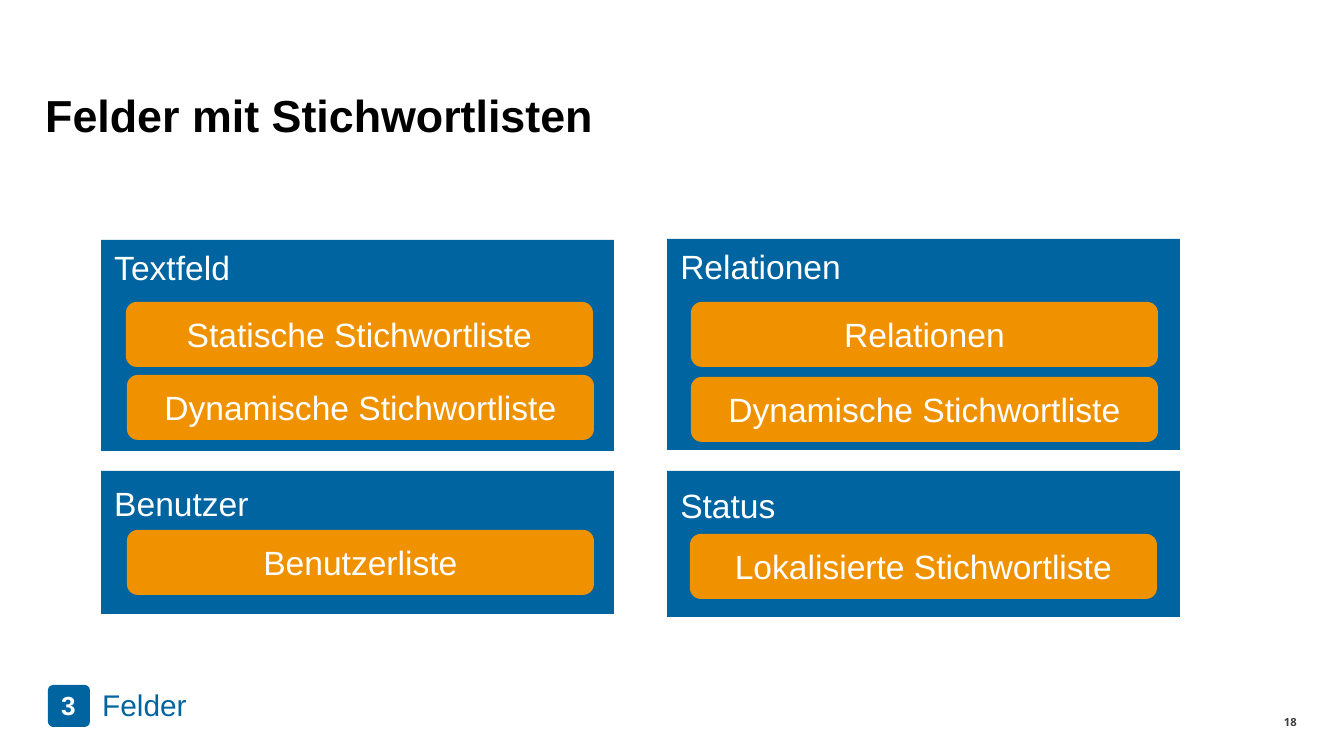
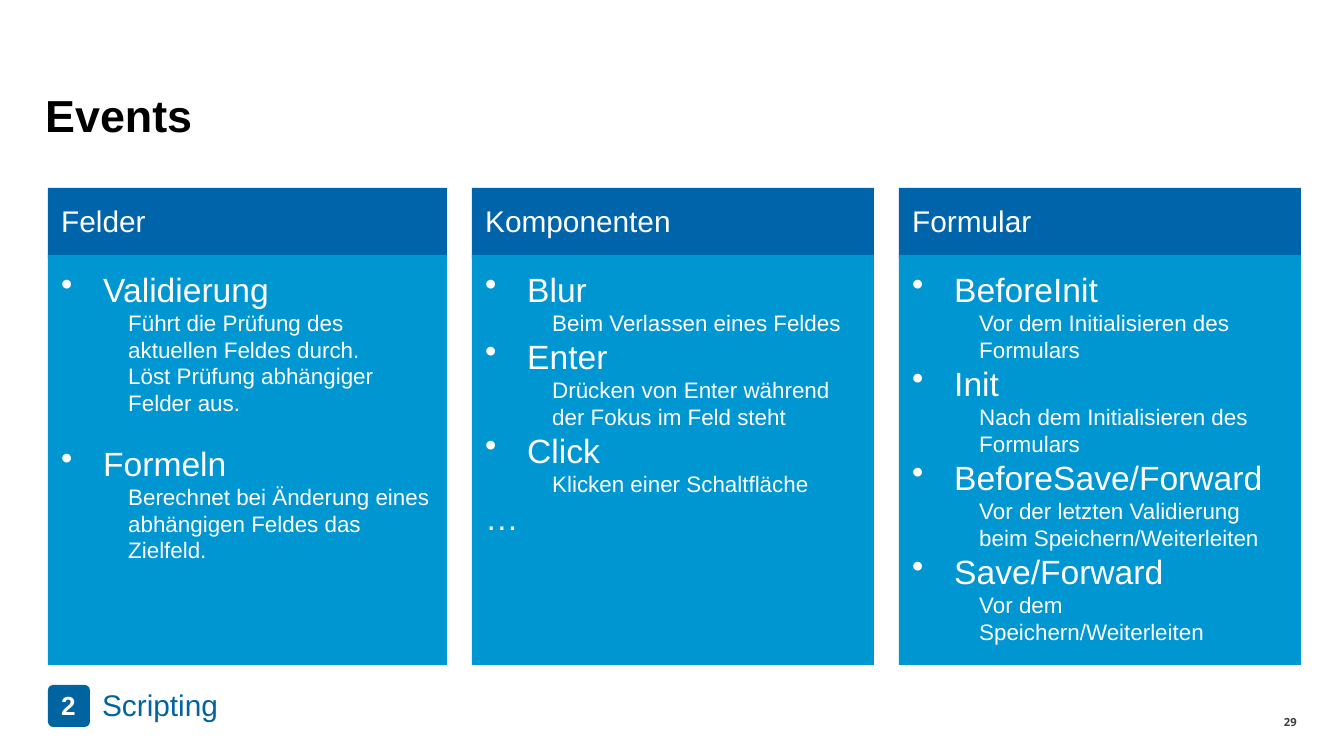
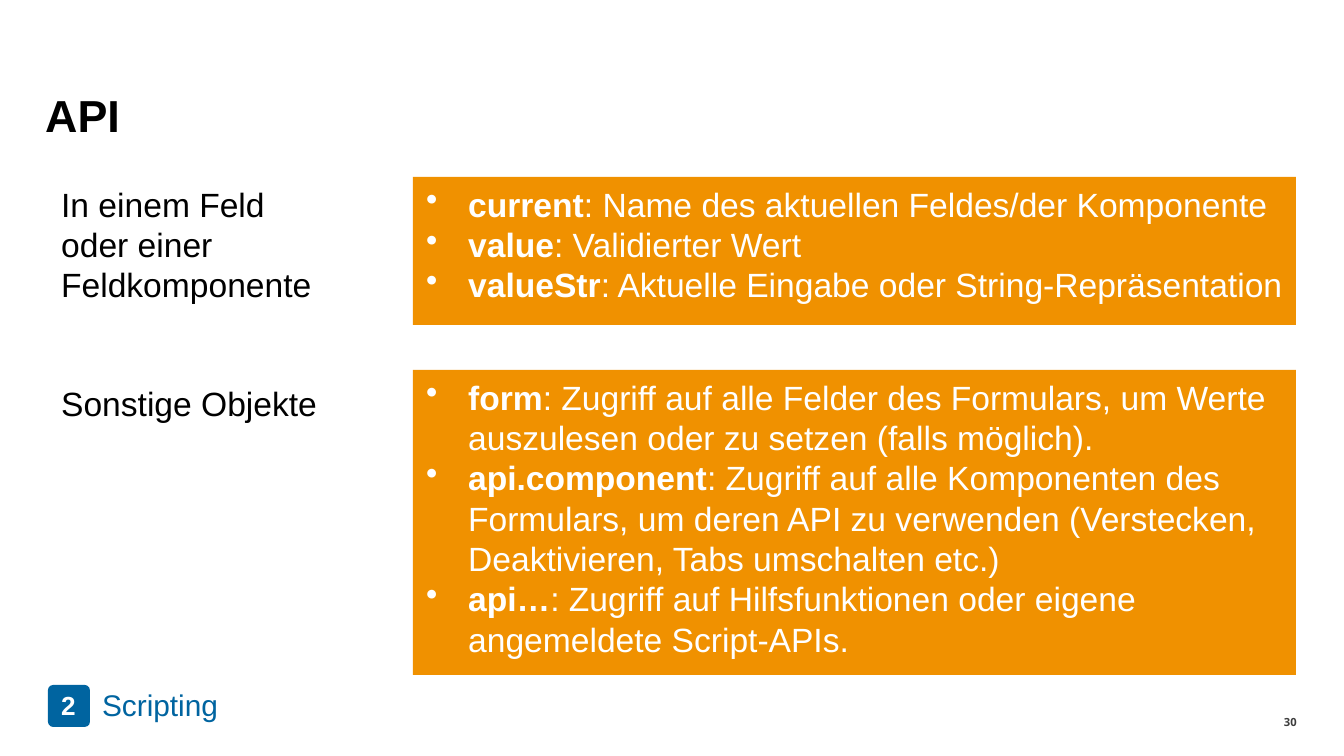
import pptx
import pptx.dml.color
import pptx.enum.shapes
import pptx.enum.text
import pptx.oxml.ns
import pptx.oxml.xmlchemy
import pptx.util

RGBColor = pptx.dml.color.RGBColor
Shape = pptx.enum.shapes.MSO_SHAPE
Anchor = pptx.enum.text.MSO_ANCHOR
Align = pptx.enum.text.PP_ALIGN

# Shared look
PX_PER_INCH = 134.4
FONT = "Arial"
NUMBER_FONT = "Noto Sans"
BLUE = RGBColor(0x00, 0x64, 0xA0)
HEADER_BLUE = RGBColor(0x00, 0x64, 0xAA)
LIGHT_BLUE = RGBColor(0x00, 0x96, 0xD2)
ORANGE = RGBColor(0xF0, 0x91, 0x00)
GREY = RGBColor(0x3D, 0x3D, 0x3D)
BLACK = RGBColor(0x00, 0x00, 0x00)
WHITE = RGBColor(0xFF, 0xFF, 0xFF)
BULLET_INDENT = 42
DETAIL_INDENT = 67
CHIP_WIDTH, CHIP_HEIGHT = 467, 65

# Slide 1: title, panel area, top inset, chips as (left, top, text)
PANELS = [
    ("Textfeld", (101, 240, 513, 211), 7,
     [(126, 302, "Statische Stichwortliste"), (127, 375, "Dynamische Stichwortliste")]),
    ("Benutzer", (101, 471, 513, 143), 12, [(127, 530, "Benutzerliste")]),
    ("Relationen", (667, 239, 513, 211), 7,
     [(691, 302, "Relationen"), (691, 377, "Dynamische Stichwortliste")]),
    ("Status", (667, 471, 513, 146), 14, [(690, 534, "Lokalisierte Stichwortliste")]),
]

# Slide 2: heading, left, width, events as (name, details)
EVENT_COLUMNS = [
    ("Felder", 48, 399, [
        ("Validierung", ["Führt die Prüfung des aktuellen Feldes durch.",
                         "Löst Prüfung abhängiger Felder aus."]),
        ("Formeln", ["Berechnet bei Änderung eines abhängigen Feldes das Zielfeld."]),
    ]),
    ("Komponenten", 472, 402, [
        ("Blur", ["Beim Verlassen eines Feldes"]),
        ("Enter", ["Drücken von Enter während der Fokus im Feld steht"]),
        ("Click", ["Klicken einer Schaltfläche"]),
        ("…", []),
    ]),
    ("Formular", 899, 402, [
        ("BeforeInit", ["Vor dem Initialisieren des Formulars"]),
        ("Init", ["Nach dem Initialisieren des Formulars"]),
        ("BeforeSave/Forward", ["Vor der letzten Validierung beim Speichern/Weiterleiten"]),
        ("Save/Forward", ["Vor dem Speichern/Weiterleiten"]),
    ]),
]

# Slide 3: scope lines, label area, box area, objects as (name, meaning)
API_SCOPES = [
    (["In einem Feld", "oder einer Feldkomponente"], (48, 177, 296, 136), (413, 177, 883, 148), [
        ("current", "Name des aktuellen Feldes/der Komponente"),
        ("value", "Validierter Wert"),
        ("valueStr", "Aktuelle Eingabe oder String-Repräsentation"),
    ]),
    (["Sonstige Objekte"], (48, 376, 296, 54), (413, 370, 883, 305), [
        ("form", "Zugriff auf alle Felder des Formulars, um Werte auszulesen "
                 "oder zu setzen (falls möglich)."),
        ("api.component", "Zugriff auf alle Komponenten des Formulars, um deren API zu "
                          "verwenden (Verstecken, Deaktivieren, Tabs umschalten etc.)"),
        ("api…", "Zugriff auf Hilfsfunktionen oder eigene angemeldete Script-APIs."),
    ]),
]


def px(length):
    return pptx.util.Emu(round(length * 914400 / PX_PER_INCH))


# Text helpers
def add_run(paragraph, text, size, color=WHITE, bold=False, font=FONT):
    run = paragraph.add_run()
    run.text = text
    run.font.name = font
    run.font.size = pptx.util.Pt(size)
    run.font.bold = bold
    run.font.color.rgb = color


def next_paragraph(frame):
    first = frame.paragraphs[0]
    paragraph = frame.add_paragraph() if first.runs else first
    paragraph.alignment = Align.LEFT
    return paragraph


def indent(paragraph, margin, bullet=False):
    properties = paragraph._p.get_or_add_pPr()
    properties.set("marL", str(px(margin)))
    properties.set("indent", str(-px(margin) if bullet else 0))
    if bullet:
        mark = pptx.oxml.xmlchemy.OxmlElement("a:buChar")
        mark.set("char", "•")
        properties.append(mark)


# Element helpers
def add_box(shapes, area, fill, kind=Shape.RECTANGLE, anchor=Anchor.TOP):
    box = shapes.add_shape(kind, *map(px, area))
    box.shadow.inherit = False
    box.fill.solid()
    box.fill.fore_color.rgb = fill
    box.line.fill.background()
    box.text_frame.word_wrap = True
    box.text_frame.vertical_anchor = anchor
    return box


def add_text_frame(shapes, area, anchor=Anchor.TOP):
    frame = shapes.add_textbox(*map(px, area)).text_frame
    frame.word_wrap = True
    frame.vertical_anchor = anchor
    return frame


def add_label(shapes, area, text, size, color, bold=False, anchor=Anchor.TOP):
    frame = add_text_frame(shapes, area, anchor)
    add_run(next_paragraph(frame), text, size, color, bold)


def add_content_slide(presentation, title, chapter, chapter_name, number):
    slide = presentation.slides.add_slide(presentation.slide_layouts[6])
    shapes = slide.shapes
    add_label(shapes, (32, 81, 953, 66), title, 24, BLACK, True)

    # Chapter badge
    badge = add_box(shapes, (48, 685, 42, 42), BLUE, Shape.ROUNDED_RECTANGLE)
    badge.adjustments[0] = 0.125
    add_label(shapes, (48, 683, 42, 52), chapter, 14, WHITE, True)
    add_label(shapes, (89, 680, 380, 42), chapter_name, 16, BLUE)

    # Page number
    paragraph = next_paragraph(add_text_frame(shapes, (1253, 709, 57, 28)))
    paragraph.alignment = Align.RIGHT
    paragraph.line_spacing = pptx.util.Pt(7)
    add_run(paragraph, number, 6, GREY, True, NUMBER_FONT)
    return slide


def add_panel(shapes, title, area, top_inset, chips):
    frame = add_box(shapes, area, BLUE).text_frame
    frame.margin_top = px(top_inset)
    add_run(next_paragraph(frame), title, 18)
    for left, top, text in chips:
        chip = add_box(shapes, (left, top, CHIP_WIDTH, CHIP_HEIGHT), ORANGE,
                       Shape.ROUNDED_RECTANGLE, Anchor.MIDDLE)
        paragraph = next_paragraph(chip.text_frame)
        paragraph.alignment = Align.CENTER
        add_run(paragraph, text, 18)


def add_event_column(slide, heading, left, width, events):
    shapes = slide.shapes.add_group_shape().shapes
    add_box(shapes, (left, 188, width, 70), HEADER_BLUE)
    add_box(shapes, (left, 255, width, 410), LIGHT_BLUE)
    add_label(shapes, (left, 195, 235, 52), heading, 16, WHITE, anchor=Anchor.MIDDLE)

    frame = add_text_frame(shapes, (left, 262, width, 394))
    previous_details = []
    for name, details in events:
        paragraph = next_paragraph(frame)
        if len(previous_details) > 1:
            paragraph.space_before = pptx.util.Pt(14)
        if details:
            indent(paragraph, BULLET_INDENT, bullet=True)
        add_run(paragraph, name, 18)
        for detail in details:
            paragraph = next_paragraph(frame)
            paragraph.level = 1
            indent(paragraph, DETAIL_INDENT)
            add_run(paragraph, detail, 12)
        previous_details = details


def add_api_scope(shapes, scope_lines, label_area, box_area, objects):
    label = add_text_frame(shapes, label_area)
    for line in scope_lines:
        add_run(next_paragraph(label), line, 18, BLACK)

    frame = add_box(shapes, box_area, ORANGE).text_frame
    frame.margin_right = px(10)
    for name, meaning in objects:
        paragraph = next_paragraph(frame)
        indent(paragraph, BULLET_INDENT, bullet=True)
        add_run(paragraph, name, 18, bold=True)
        add_run(paragraph, ": " + meaning, 18)


def main():
    presentation = pptx.Presentation()
    presentation.slide_width = px(1344)
    presentation.slide_height = px(756)

    # Fields with keyword lists
    slide = add_content_slide(presentation, "Felder mit Stichwortlisten", "3", "Felder", "18")
    for panel in PANELS:
        add_panel(slide.shapes, *panel)

    # Events
    slide = add_content_slide(presentation, "Events", "2", "Scripting", "29")
    for column in EVENT_COLUMNS:
        add_event_column(slide, *column)

    # API
    slide = add_content_slide(presentation, "API", "2", "Scripting", "30")
    for scope in API_SCOPES:
        add_api_scope(slide.shapes, *scope)

    presentation.save("out.pptx")


if __name__ == "__main__":
    main()
